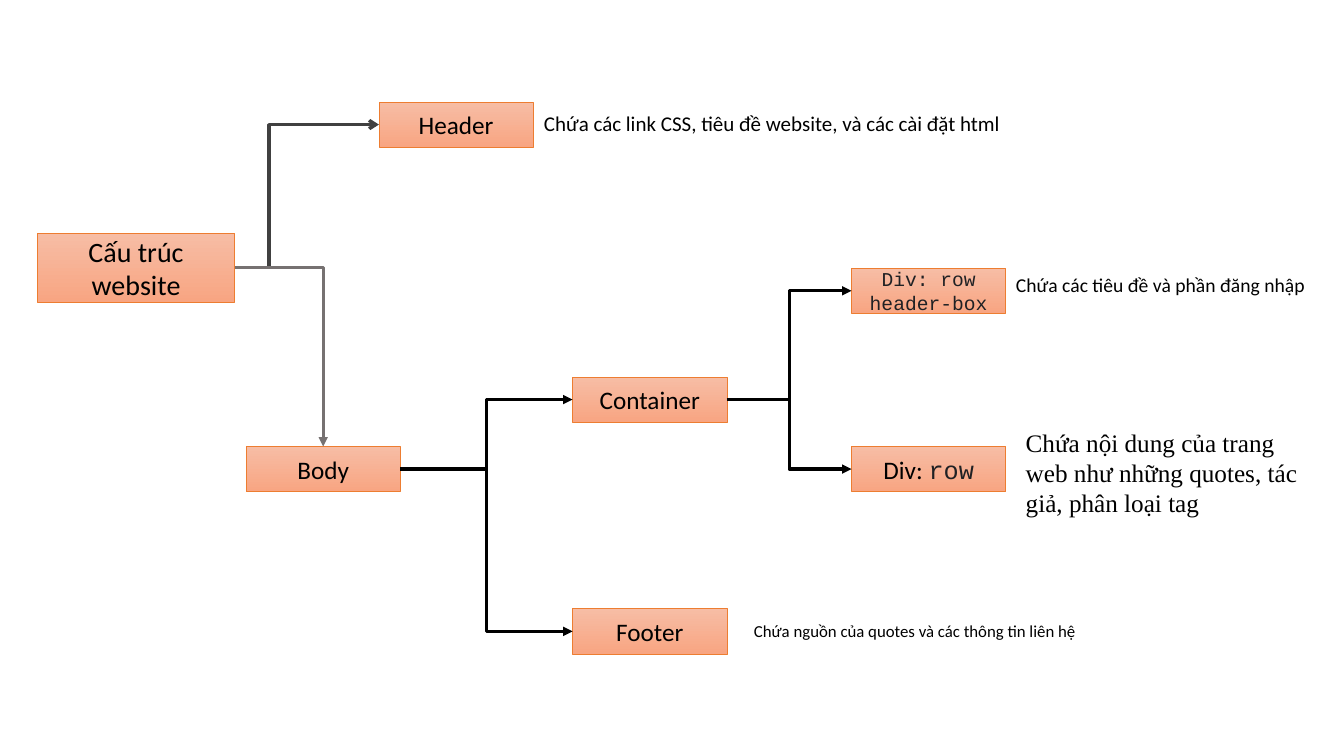
from lxml import etree
from pptx import Presentation
from pptx import util as u
from pptx.dml import color
from pptx.enum import shapes, text
from pptx.oxml import ns

HUES = {"top": "F7BDA5", "low": "F8A582", "edge": "ED7D31", "ink": "000000",
        "code": "202124", "dark": "404040", "gray": "767171"}
SANS, MONO, SERIF = "Calibri", "Courier New", "Times New Roman"
WIDE, TALL = 3.89, 1.14


def hue(name):
    return color.RGBColor.from_string(HUES[name])


def write(frame, runs, align):
    para = frame.paragraphs[0]
    para.alignment = align
    for words, size, face, ink in runs:
        run = para.add_run()
        run.text = words
        run.font.size = u.Pt(size)
        run.font.name = face
        run.font.color.rgb = hue(ink)


def node(slide, x, y, runs, wide=WIDE, tall=TALL):
    box = slide.shapes.add_shape(shapes.MSO_SHAPE.RECTANGLE,
                                 u.Cm(x), u.Cm(y), u.Cm(wide), u.Cm(tall))
    box.shadow.inherit = False
    box.fill.gradient()
    box.fill.gradient_angle = 270
    for stop, name in zip(box.fill.gradient_stops, ("top", "low")):
        stop.color.rgb = hue(name)
    box.line.color.rgb = hue("edge")
    box.line.width = u.Pt(0.5)
    box.text_frame.word_wrap = True
    box.text_frame.vertical_anchor = text.MSO_ANCHOR.MIDDLE
    write(box.text_frame, runs, text.PP_ALIGN.CENTER)
    return box


def note(slide, x, y, wide, tall, words, size, face=SANS, wrap=True):
    box = slide.shapes.add_textbox(u.Cm(x), u.Cm(y), u.Cm(wide), u.Cm(tall))
    box.text_frame.word_wrap = wrap
    box.text_frame.auto_size = text.MSO_AUTO_SIZE.SHAPE_TO_FIT_TEXT
    write(box.text_frame, [(words, size, face, "ink")], text.PP_ALIGN.LEFT)


def elbow(slide, ink="ink", head="triangle"):
    wire = slide.shapes.add_connector(shapes.MSO_CONNECTOR.ELBOW, 0, 0, 0, 0)
    wire.line.color.rgb = hue(ink)
    wire.line.width = u.Pt(2.25)
    etree.SubElement(wire.line._get_or_add_ln(), ns.qn("a:tailEnd"), type=head)
    etree.SubElement(wire._element.spPr, ns.qn("a:effectLst"))
    return wire


def corner(wire):
    wire._element.spPr.find(ns.qn("a:prstGeom")).set("prst", "bentConnector2")


def join(slide, start, end):
    wire = elbow(slide)
    wire.begin_connect(start, 3)
    wire.end_connect(end, 1)


def root(slide, x, y):
    return node(slide, x, y, [("Cấu trúc website", 20, SANS, "ink")], 4.98, 1.75)


def header(slide, x, y, trunk):
    box = node(slide, x, y, [("Header", 18, SANS, "ink")])
    note(slide, x + WIDE + 0.02, y + 0.08, 12.12, 0.9,
         "Chứa các link CSS, tiêu đề website, và các cài đặt html", 15, wrap=False)
    wire = elbow(slide, "dark", "arrow")
    corner(wire)
    bend = u.Cm(6.78)
    base = trunk.top + trunk.height // 2
    goal = box.top + box.height // 2
    run, rise = box.left - bend, base - goal
    wire.left = bend + (run - rise) // 2
    wire.top = goal + (rise - run) // 2
    wire.width, wire.height = rise, run
    form = wire._element.spPr.find(ns.qn("a:xfrm"))
    for key, value in (("rot", "5400000"), ("flipH", "1"), ("flipV", "1")):
        form.set(key, value)


def body(slide, x, y, trunk):
    box = node(slide, x, y, [("Body", 18, SANS, "ink")])
    wire = elbow(slide, "gray")
    wire.begin_connect(trunk, 3)
    wire.end_connect(box, 0)
    corner(wire)
    hold(slide, x + 8.23, y - 1.75, box)
    foot(slide, x + 8.23, y + 4.09, box)


def hold(slide, x, y, trunk):
    box = node(slide, x, y, [("Container", 18, SANS, "ink")])
    join(slide, trunk, box)
    left = x + 7.03
    parts = [
        (-2.74, [("Div: row header-box", 14, MONO, "code")],
         (0, 0, 8.18, 0.86, "Chứa các tiêu đề và phần đăng nhập", 14, SANS)),
        (1.75, [("Div: ", 18, SANS, "ink"), ("row", 18, MONO, "code")],
         (0.25, -0.61, 7.92, 2.57,
          "Chứa nội dung của trang web như những quotes, tác giả, phân loại tag",
          18, SERIF)),
    ]
    for drop, runs, (dx, dy, *rest) in parts:
        join(slide, box, node(slide, left, y + drop, runs))
        note(slide, left + WIDE + dx, y + drop + dy, *rest)


def foot(slide, x, y, trunk):
    box = node(slide, x, y, [("Footer", 18, SANS, "ink")])
    join(slide, trunk, box)
    note(slide, x + WIDE + 0.43, y + 0.18, 8.71, 0.76,
         "Chứa nguồn của quotes và các thông tin liên hệ", 12, wrap=False)


def main():
    deck = Presentation()
    deck.slide_width, deck.slide_height = u.Cm(33.87), u.Cm(19.05)
    slide = deck.slides.add_slide(deck.slide_layouts[6])
    trunk = root(slide, 0.94, 5.87)
    header(slide, 9.55, 2.57, trunk)
    body(slide, 6.2, 11.25, trunk)
    deck.save("out.pptx")


if __name__ == "__main__":
    main()
